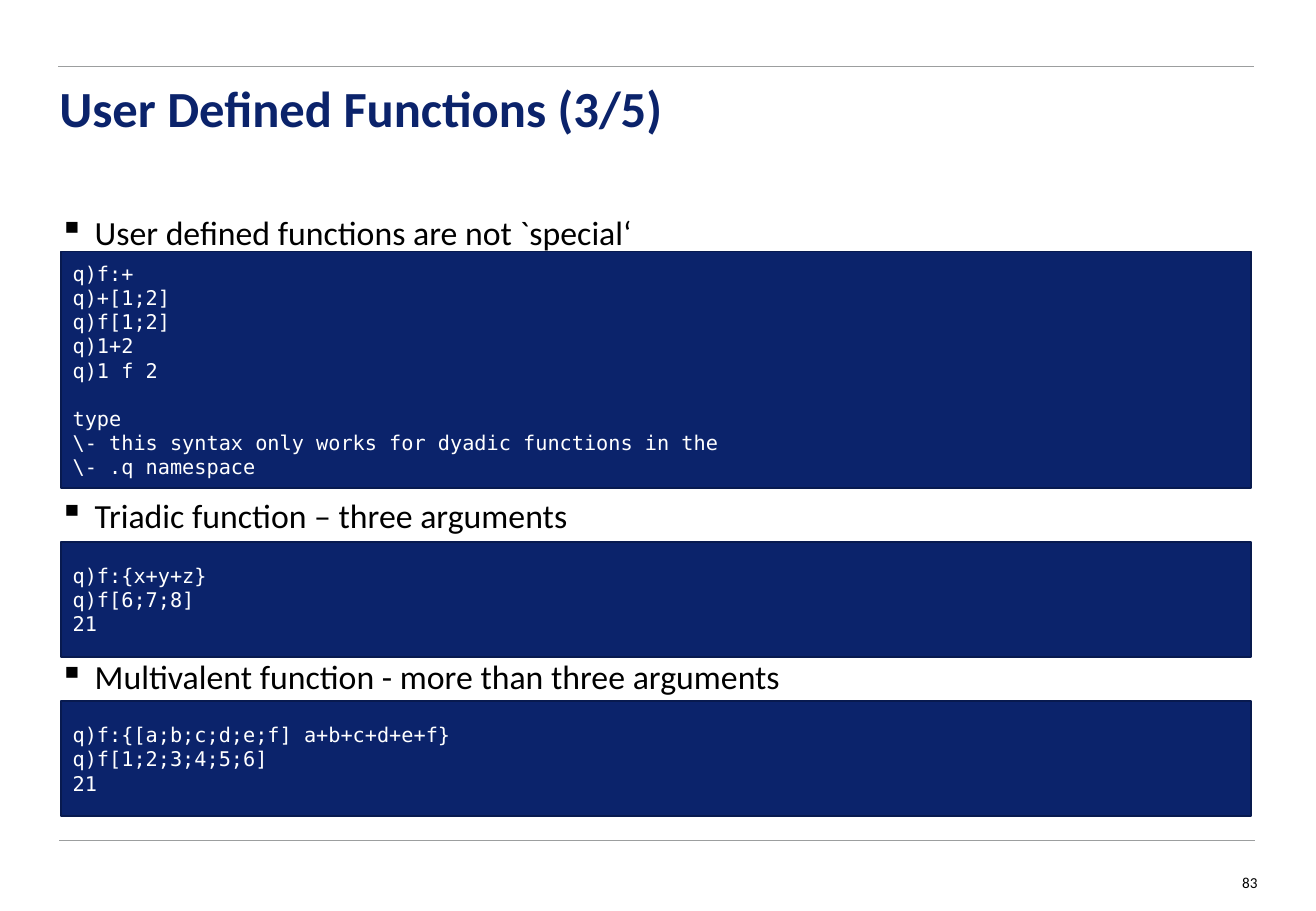
from dataclasses import dataclass

from lxml import etree
from pptx import Presentation
from pptx.dml.color import RGBColor
from pptx.enum.shapes import MSO_CONNECTOR, MSO_SHAPE
from pptx.enum.text import MSO_ANCHOR, PP_ALIGN
from pptx.oxml.ns import qn
from pptx.util import Cm, Pt

STRAIGHT = MSO_CONNECTOR.STRAIGHT
RECTANGLE = MSO_SHAPE.RECTANGLE
TOP, MIDDLE = MSO_ANCHOR.TOP, MSO_ANCHOR.MIDDLE
LEFT, RIGHT = PP_ALIGN.LEFT, PP_ALIGN.RIGHT


@dataclass(frozen=True)
class Theme:
    navy = RGBColor(0x0B, 0x23, 0x6B)
    navy_edge = RGBColor(0x08, 0x1A, 0x4F)
    rule = RGBColor(0x9C, 0x9E, 0x9F)
    black = RGBColor(0, 0, 0)
    white = RGBColor(255, 255, 255)
    text_font = "Calibri"
    code_font = "DejaVu Sans Mono"
    title_size = Pt(30)
    bullet_size = Pt(20)
    code_size = Pt(12)
    code_line = Pt(14)
    number_size = Pt(9)


theme = Theme()
MARGIN, CONTENT_WIDTH = 1.24, 25
CODE_LEFT, CODE_WIDTH = 1.27, 24.89
BULLET_INDENT = Cm(0.74)

# Bullet text, bullet top, code top, code height, code
sections = [
    ("User defined functions are not `special‘", 4.42, 5.26, 4.95,
     r"""q)f:+
q)+[1;2]
q)f[1;2]
q)1+2
q)1 f 2

type
\- this syntax only works for dyadic functions in the
\- .q namespace"""),
    ("Triadic function – three arguments", 10.34, 11.33, 2.41,
     """q)f:{x+y+z}
q)f[6;7;8]
21"""),
    ("Multivalent function - more than three arguments", 13.72, 14.66, 2.41,
     """q)f:{[a;b;c;d;e;f] a+b+c+d+e+f}
q)f[1;2;3;4;5;6]
21"""),
]


def style(para, name, size, color, bold=False):
    para.font.name = name
    para.font.size = size
    para.font.color.rgb = color
    para.font.bold = bold


def add_text(text, left, top, width, height, anchor=TOP):
    """Add a text box without margins and return its paragraph."""
    box = page.shapes.add_textbox(Cm(left), Cm(top), Cm(width), Cm(height))
    frame = box.text_frame
    frame.word_wrap = True
    frame.vertical_anchor = anchor
    frame.margin_left = frame.margin_right = 0
    frame.margin_top = frame.margin_bottom = 0
    frame.text = text
    return frame.paragraphs[0]


deck = Presentation()
deck.slide_width, deck.slide_height = Cm(27.51), Cm(19.05)
page = deck.slides.add_slide(deck.slide_layouts[6])

for left, top in [(1.22, 1.4), (MARGIN, 17.58)]:
    rule = page.shapes.add_connector(
        STRAIGHT, Cm(left), Cm(top), Cm(left + CONTENT_WIDTH), Cm(top))
    rule.line.color.rgb = theme.rule
    rule.line.width = Pt(0.5)
    etree.SubElement(rule.element.spPr, qn("a:effectLst"))

title = add_text("User Defined Functions (3/5)", MARGIN, 1.75, CONTENT_WIDTH, 2.26)
title.line_spacing = 0.9
style(title, theme.text_font, theme.title_size, theme.navy, bold=True)

for bullet_text, bullet_top, code_top, code_height, code in sections:
    bullet = add_text(bullet_text, MARGIN, bullet_top, CONTENT_WIDTH, 0.86)
    properties = bullet._p.get_or_add_pPr()
    properties.set("marL", str(BULLET_INDENT))
    properties.set("indent", str(-BULLET_INDENT))
    etree.SubElement(properties, qn("a:buChar"), char="▪")
    style(bullet, theme.text_font, theme.bullet_size, theme.black)

    panel = page.shapes.add_shape(
        RECTANGLE, Cm(CODE_LEFT), Cm(code_top), Cm(CODE_WIDTH), Cm(code_height))
    panel.shadow.inherit = False
    panel.fill.solid()
    panel.fill.fore_color.rgb = theme.navy
    panel.line.color.rgb = theme.navy_edge
    panel.line.width = Pt(1)
    frame = panel.text_frame
    frame.word_wrap = True
    frame.vertical_anchor = MIDDLE
    blocks = code.split("\n\n")
    frame.text = "\n".join(blocks)
    for para in frame.paragraphs:
        para.alignment = LEFT
        style(para, theme.code_font, theme.code_size, theme.white)
    if len(blocks) > 1:
        after_gap = len(blocks[0].splitlines())
        frame.paragraphs[after_gap].space_before = theme.code_line

number = add_text("83", 25.15, 18.31, 1.14, 0.3, MIDDLE)
number.alignment = RIGHT
style(number, theme.text_font, theme.number_size, theme.black)

deck.save("out.pptx")
